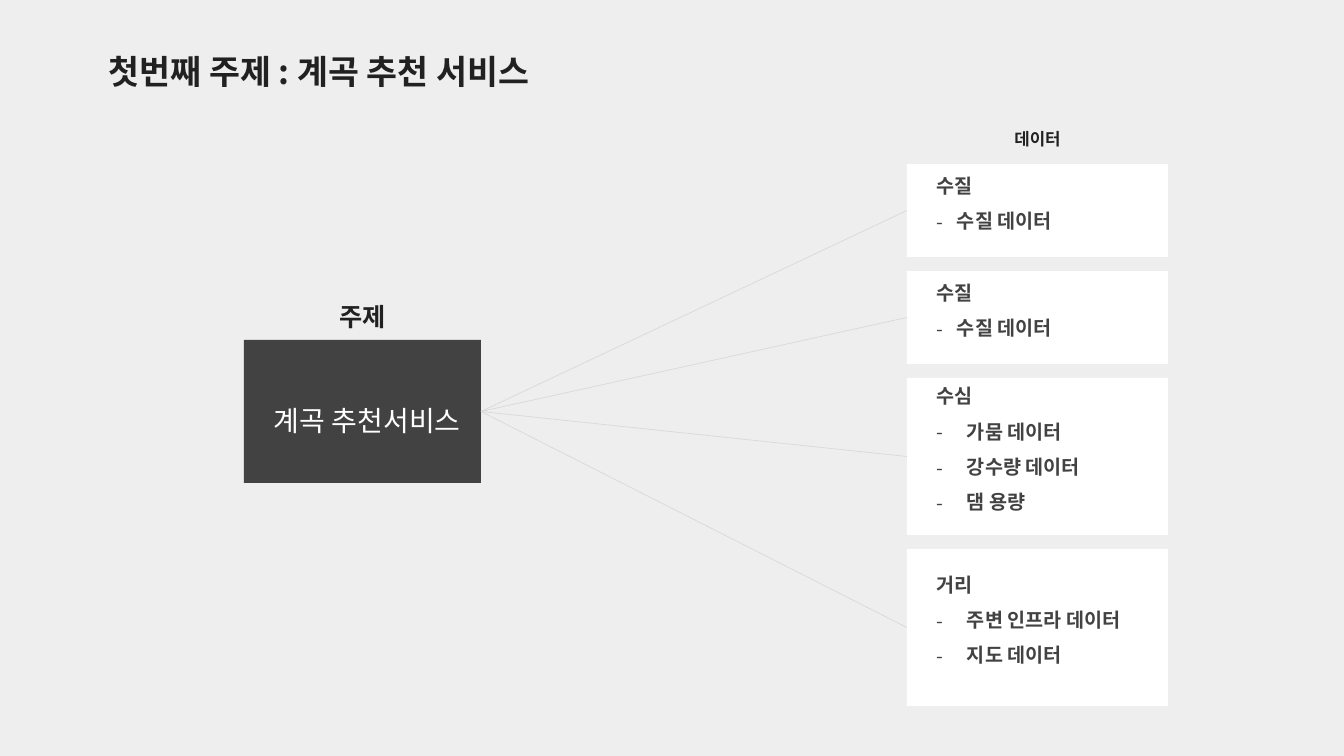
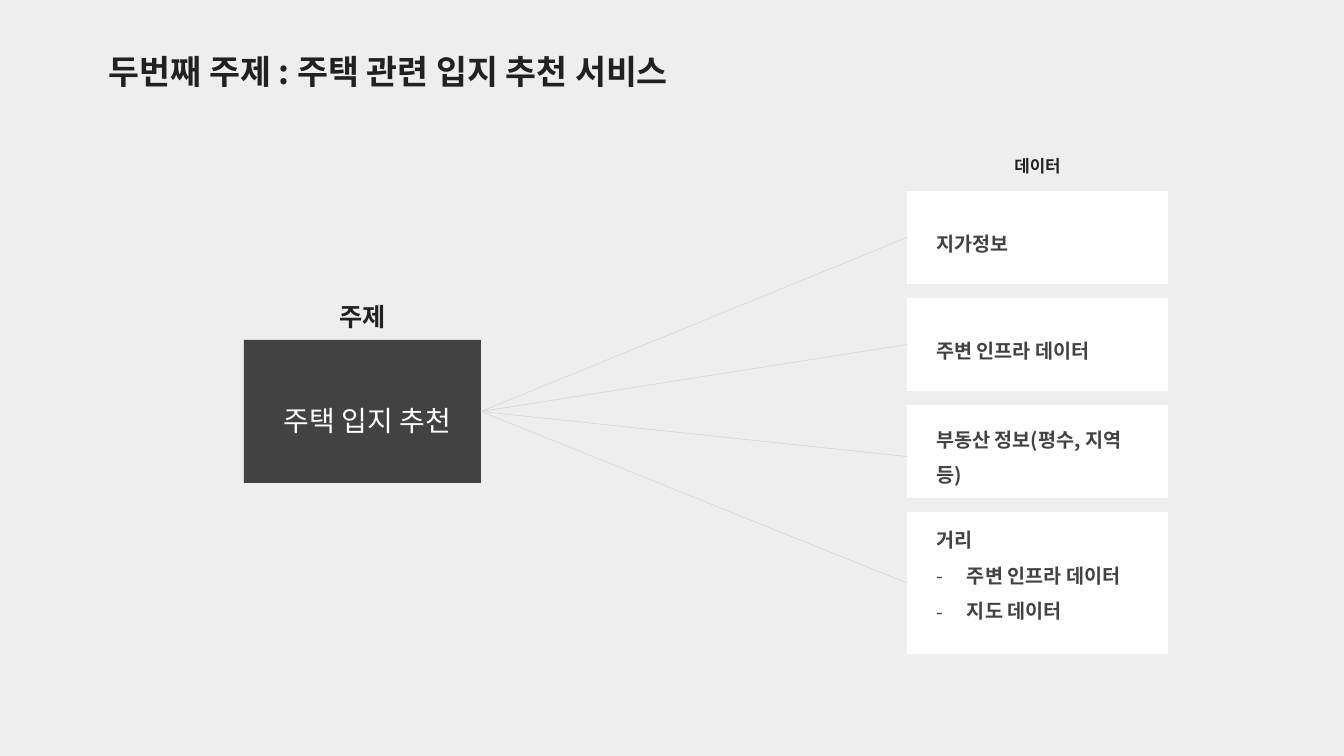
from dataclasses import dataclass

from lxml.etree import SubElement
from pptx import Presentation
from pptx.dml.color import RGBColor
from pptx.enum.shapes import MSO_CONNECTOR, MSO_SHAPE
from pptx.enum.text import MSO_ANCHOR, PP_ALIGN
from pptx.oxml.ns import qn
from pptx.util import Emu, Pt


@dataclass(frozen=True)
class Theme:
    font: str = "Noto Sans CJK KR"
    background: str = "EEEEEE"
    white: str = "FFFFFF"
    dark: str = "424242"
    heading: str = "212121"
    link: str = "D9D9D9"
    title_size: int = 24
    topic_size: int = 20
    topic_label_size: int = 18
    data_size: int = 14
    data_label_size: int = 12
    line_spacing: float = 1.5


THEME = Theme()
EMU_PER_PX = 914400 / 100.8

TOPIC_LEFT, TOPIC_TOP, TOPIC_WIDTH, TOPIC_HEIGHT = 244, 340, 237, 143
DATA_LEFT, DATA_WIDTH, DATA_GAP = 907, 261, 14
TEXT_INDENT = 19
BOTTOM_ROOM = 27  # extra room under a card that lists items

# Each card: height, shift of its link from the middle, heading, items, item indent
TOPICS = [
    ("첫번째 주제 : 계곡 추천 서비스", "계곡 추천서비스", 164, [
        (93, 0, "수질", ["수질 데이터"], 21),
        (93, 0, "수질", ["수질 데이터"], 21),
        (157, 0, "수심", ["가뭄 데이터", "강수량 데이터", "댐 용량"], 31),
        (157, 0, "거리", ["주변 인프라 데이터", "지도 데이터"], 31),
    ]),
    ("두번째 주제 : 주택 관련 입지 추천 서비스", "주택 입지 추천", 191, [
        (93, 0, "지가정보", [], 0),
        (93, 0, "주변 인프라 데이터", [], 0),
        (93, 5, "부동산 정보(평수, 지역 등)", [], 0),
        (142, 0, "거리", ["주변 인프라 데이터", "지도 데이터"], 31),
    ]),
]


def px(length):
    return Emu(round(length * EMU_PER_PX))


def add_box(page, bounds, lines, size, color, bold=True, fill=None,
            align=PP_ALIGN.LEFT, insets=(10, 5, 10, 5), wrap=True,
            indent=0, hanging=0):
    """Add a text box, or a filled rectangle; lines after the first get dashes."""
    bounds = [px(length) for length in bounds]
    if fill:
        box = page.shapes.add_shape(MSO_SHAPE.RECTANGLE, *bounds)
        box.shadow.inherit = False
        box.fill.solid()
        box.fill.fore_color.rgb = RGBColor.from_string(fill)
        box.line.fill.background()
    else:
        box = page.shapes.add_textbox(*bounds)
    frame = box.text_frame
    frame.word_wrap = wrap
    frame.vertical_anchor = MSO_ANCHOR.MIDDLE if fill else MSO_ANCHOR.TOP
    (frame.margin_left, frame.margin_top,
     frame.margin_right, frame.margin_bottom) = map(px, insets)

    for number, line in enumerate(lines):
        para = frame.add_paragraph() if number else frame.paragraphs[0]
        para.alignment = align
        para.line_spacing = THEME.line_spacing
        properties = para._p.get_or_add_pPr()
        properties.set("marL", str(px(indent + hanging if number else indent)))
        if number:
            properties.set("indent", str(px(-hanging)))
            SubElement(properties, qn("a:buFont"), typeface=THEME.font)
            SubElement(properties, qn("a:buChar"), char="-")
        span = para.add_run()
        span.text = line
        span.font.size = Pt(size)
        span.font.bold = bold
        span.font.color.rgb = RGBColor.from_string(color)
        span.font.name = THEME.font
        SubElement(span.font._element, qn("a:ea"), typeface=THEME.font)


deck = Presentation()
deck.slide_width, deck.slide_height = px(1344), px(756)
backdrop = deck.slide_master.background.fill
backdrop.solid()
backdrop.fore_color.rgb = RGBColor.from_string(THEME.background)

for title, topic, top, cards in TOPICS:
    page = deck.slides.add_slide(deck.slide_layouts[6])
    add_box(page, (99, 26, 684, 63), [title], THEME.title_size, THEME.heading)
    add_box(page, (322, 281, 81, 50), ["주제"], THEME.topic_label_size,
            THEME.heading, align=PP_ALIGN.CENTER)
    add_box(page, (TOPIC_LEFT, TOPIC_TOP, TOPIC_WIDTH, TOPIC_HEIGHT), [topic],
            THEME.topic_size, THEME.white, bold=False, fill=THEME.dark,
            align=PP_ALIGN.CENTER, insets=(20, 5, 10, 5))
    add_box(page, (DATA_LEFT, top - 50, DATA_WIDTH, 36), ["데이터"],
            THEME.data_label_size, THEME.heading, align=PP_ALIGN.CENTER)

    for height, link_shift, heading, items, hanging in cards:
        bottom_inset = 5 + (BOTTOM_ROOM if items else 0)
        add_box(page, (DATA_LEFT, top, DATA_WIDTH, height), [heading, *items],
                THEME.data_size, THEME.dark, fill=THEME.white,
                insets=(10, 5, 20, bottom_inset),
                indent=TEXT_INDENT, hanging=hanging)
        link = page.shapes.add_connector(
            MSO_CONNECTOR.STRAIGHT,
            px(TOPIC_LEFT + TOPIC_WIDTH), px(TOPIC_TOP + TOPIC_HEIGHT / 2),
            px(DATA_LEFT), px(top + height / 2 + link_shift))
        link.line.color.rgb = RGBColor.from_string(THEME.link)
        link.line.width = Pt(0.5)
        SubElement(link._element.spPr, qn("a:effectLst"))
        top += height + DATA_GAP

deck.save("out.pptx")
